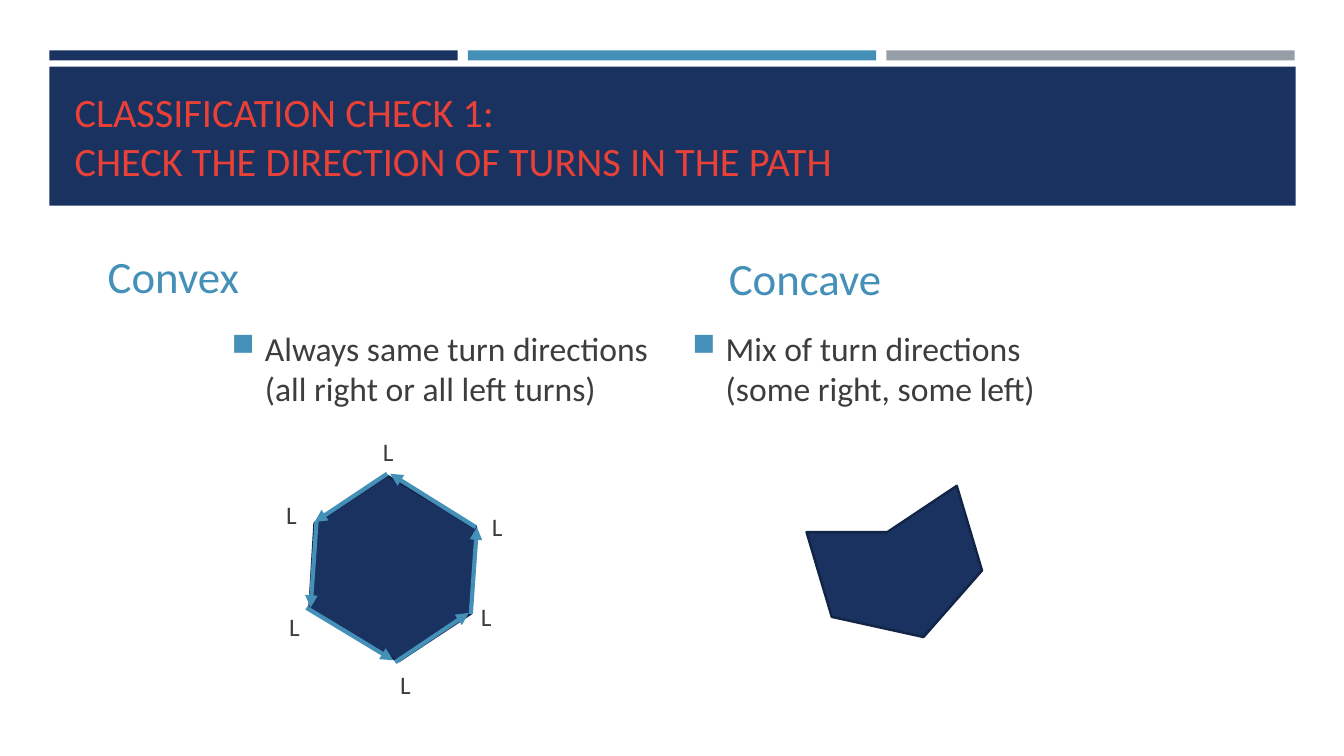
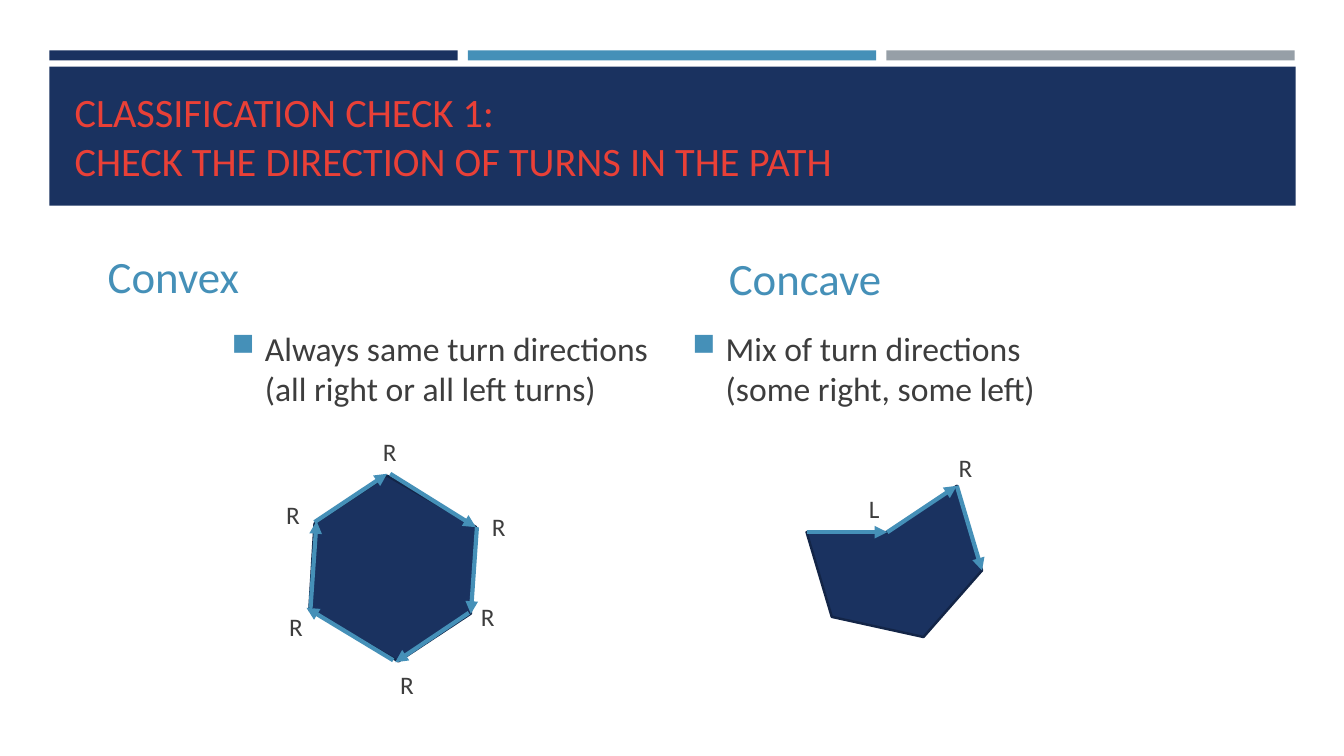
from dataclasses import dataclass

from lxml.etree import SubElement
from pptx import Presentation
from pptx.dml.color import RGBColor
from pptx.enum.shapes import MSO_CONNECTOR, MSO_SHAPE
from pptx.enum.text import MSO_ANCHOR, MSO_AUTO_SIZE, PP_ALIGN
from pptx.oxml.ns import qn
from pptx.util import Pt

PX = 9144  # EMU per px, 100 px to the inch


@dataclass(frozen=True)
class Theme:
    navy: str = "1A3260"
    outline: str = "132547"
    blue: str = "4590B8"
    gray: str = "969FA7"
    red: str = "E94037"
    ink: str = "3D3D3D"
    font: str = "Calibri"
    title_size: float = 28.8
    heading_size: int = 32
    body_size: int = 24
    label_size: int = 18
    outline_width: float = 1.75
    arrow_width: int = 3


THEME = Theme()

TITLE = "CLASSIFICATION CHECK 1:\vCHECK THE DIRECTION OF TURNS IN THE PATH"

# Hexagon sides as (from, to), walked counterclockwise
HEXAGON_SIDES = [
    ((384, 470), (312, 518)),
    ((472, 523), (387, 470)),
    ((467, 609), (473, 523)),
    ((392, 657), (465, 608)),
    ((304, 603), (390, 655)),
    ((314, 517), (308, 603)),
]
HEXAGON_LABELS = [(370, 428), (478, 502), (467, 592),
                  (387, 659), (277, 602), (274, 490)]

CONCAVE_CORNERS = [(800, 528), (880, 528), (949, 482),
                   (974, 566), (916, 632), (825, 612)]
CONCAVE_TURNS = [("L", (852, 484)), ("R", (941, 444))]


def emu(*lengths):
    return [length * PX for length in lengths]


def rgb(code):
    return RGBColor.from_string(code)


# Text
def write(frame, text, *, size, color, anchor=MSO_ANCHOR.TOP, after=0):
    frame.word_wrap = True
    frame.auto_size = MSO_AUTO_SIZE.NONE
    frame.vertical_anchor = anchor
    frame.text = text
    para = frame.paragraphs[0]
    para.alignment = PP_ALIGN.LEFT
    para.space_after = Pt(after)
    for span in para.runs:
        span.font.name = THEME.font
        span.font.size = Pt(size)
        span.font.color.rgb = rgb(color)
    return para


def add_text(page, text, place, **style):
    box = page.shapes.add_textbox(*emu(*place))
    return write(box.text_frame, text, **style)


def add_bullet(para, indent=33):
    props = para._p.get_or_add_pPr()
    props.set("marL", str(indent * PX))
    props.set("indent", str(-indent * PX))
    color = SubElement(props, qn("a:buClr"))
    SubElement(color, qn("a:srgbClr"), val=THEME.blue)
    SubElement(props, qn("a:buSzPct"), val="92000")
    SubElement(props, qn("a:buChar"), char="■")


# Shapes
def paint(shape, fill, outline=None):
    shape.shadow.inherit = False
    shape.fill.solid()
    shape.fill.fore_color.rgb = rgb(fill)
    if outline:
        shape.line.color.rgb = rgb(outline)
        shape.line.width = Pt(THEME.outline_width)
    else:
        shape.line.fill.background()
    return shape


def add_preset(page, kind, place, fill, outline=None):
    return paint(page.shapes.add_shape(kind, *emu(*place)), fill, outline)


def add_polygon(page, corners):
    builder = page.shapes.build_freeform(*corners[0], scale=PX)
    builder.add_line_segments(corners[1:], close=True)
    return paint(builder.convert_to_shape(), THEME.navy, THEME.outline)


def add_arrow(page, start, end):
    arrow = page.shapes.add_connector(
        MSO_CONNECTOR.STRAIGHT, *emu(*start, *end))
    arrow.line.color.rgb = rgb(THEME.blue)
    arrow.line.width = Pt(THEME.arrow_width)
    SubElement(arrow.line._get_or_add_ln(), qn("a:tailEnd"), type="triangle")
    SubElement(arrow.element.spPr, qn("a:effectLst"))


def add_label(page, letter, corner):
    add_text(page, letter, (*corner, 45, 40),
             size=THEME.label_size, color=THEME.ink)


# Bands are drawn once and then belong to the layout
def add_layout_bands(page):
    stripes = [((49 + 415 * column, 50, 405, 10), color) for column, color
               in enumerate((THEME.navy, THEME.blue, THEME.gray))]
    title_band = ((49, 66, 1236, 138), THEME.navy)
    for number, (place, color) in enumerate([*stripes, title_band]):
        band = add_preset(page, MSO_SHAPE.RECTANGLE, place, color)
        band.element.nvSpPr.cNvPr.id = 100 + number
        page.slide_layout.shapes.element.append(band.element)


def set_title(page):
    title = page.shapes.title
    title.left, title.top, title.width, title.height = emu(64, 80, 1206, 108)
    write(title.text_frame, TITLE, size=THEME.title_size, color=THEME.red,
          anchor=MSO_ANCHOR.BOTTOM)


def add_column(page, heading, heading_place, text, text_place):
    add_text(page, heading, heading_place, size=THEME.heading_size,
             color=THEME.blue, anchor=MSO_ANCHOR.BOTTOM, after=6)
    add_bullet(add_text(page, text, text_place, size=THEME.body_size,
                        color=THEME.ink, after=6))


def add_hexagon_walk(page, turn):
    for start, end in HEXAGON_SIDES:
        if turn == "R":
            start, end = end, start
        add_arrow(page, start, end)
    for corner in HEXAGON_LABELS:
        add_label(page, turn, corner)


def add_concave_walk(page):
    for start, end in zip(CONCAVE_CORNERS[:3], CONCAVE_CORNERS[1:4]):
        add_arrow(page, start, end)
    for letter, corner in CONCAVE_TURNS:
        add_label(page, letter, corner)


def add_comparison(deck, turn):
    page = deck.slides.add_slide(deck.slide_layouts[5])
    set_title(page)
    add_column(page, "Convex", (97, 246, 556, 59),
               "Always same turn directions (all right or all left turns)",
               (220, 320, 446, 321))
    add_column(page, "Concave", (713, 246, 556, 61),
               "Mix of turn directions (some right, some left)",
               (677, 320, 420, 321))
    hexagon = add_preset(page, MSO_SHAPE.HEXAGON, (300, 487, 179, 154),
                         THEME.navy, THEME.outline)
    hexagon.rotation = 30
    add_polygon(page, CONCAVE_CORNERS)
    add_hexagon_walk(page, turn)
    return page


def main():
    deck = Presentation()
    deck.slide_width, deck.slide_height = emu(1333, 750)
    left_turns = add_comparison(deck, "L")
    add_layout_bands(left_turns)
    right_turns = add_comparison(deck, "R")
    add_concave_walk(right_turns)
    deck.save("out.pptx")


if __name__ == "__main__":
    main()
